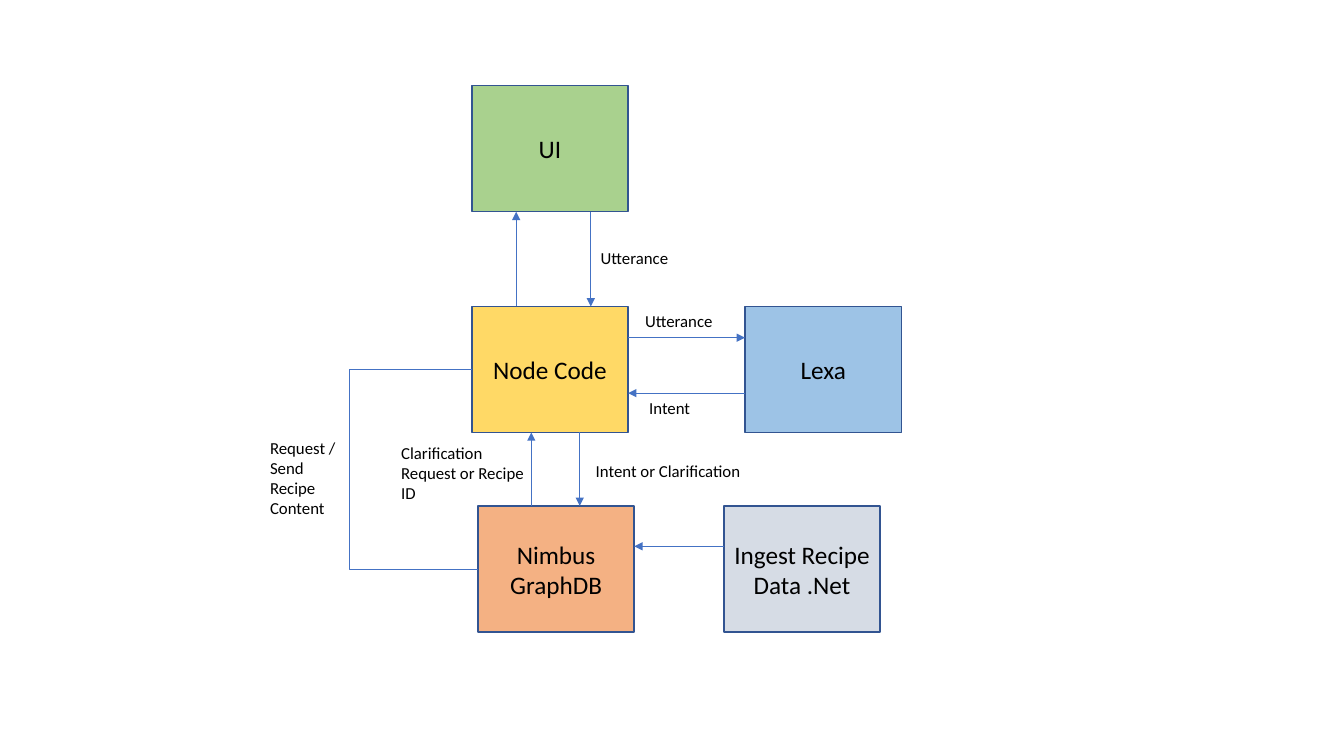
"""Build the recipe chatbot architecture slide."""
from dataclasses import dataclass

import lxml.etree
import pptx
import pptx.dml.color
import pptx.enum.shapes
import pptx.enum.text
import pptx.oxml
import pptx.oxml.ns
import pptx.util

Inches, Pt = pptx.util.Inches, pptx.util.Pt
RGBColor = pptx.dml.color.RGBColor
CONNECTOR = pptx.enum.shapes.MSO_CONNECTOR
qn = pptx.oxml.ns.qn

BLACK = RGBColor(0x00, 0x00, 0x00)
OUTLINE = RGBColor(0x32, 0x54, 0x91)
BLUE = RGBColor(0x44, 0x72, 0xC4)
GREEN = RGBColor(0xA9, 0xD1, 0x8E)
YELLOW = RGBColor(0xFF, 0xD9, 0x66)
SKY = RGBColor(0x9D, 0xC3, 0xE6)
ORANGE = RGBColor(0xF4, 0xB1, 0x83)
GREY = RGBColor(0xD6, 0xDC, 0xE5)

FONT = "Calibri"
BOX_W, BOX_H = 1.55, 1.25
UI_Y, NODE_Y, DATA_Y = 0.85, 3.04, 5.02
NODE_X, INTENT_X, GRAPH_X, INGEST_X = 4.68, 7.39, 4.74, 7.18
UI_BOTTOM, NODE_BOTTOM = UI_Y + BOX_H, NODE_Y + BOX_H
NODE_RIGHT, GRAPH_RIGHT = NODE_X + BOX_W, GRAPH_X + BOX_W
BEND_X = 3.46
LEFT_SITE = 1


@dataclass
class Box:
    """A filled component of the system."""
    text: str
    x: float
    y: float
    fill: RGBColor


@dataclass
class Arrow:
    """A straight arrow between two points."""
    x1: float
    y1: float
    x2: float
    y2: float


@dataclass
class Label:
    """A caption beside an arrow."""
    text: str
    x: float
    y: float
    w: float
    h: float = 0.3
    wrap: bool = False


NODE = Box("Node Code", NODE_X, NODE_Y, YELLOW)
GRAPH = Box("Nimbus GraphDB", GRAPH_X, DATA_Y, ORANGE)
BOXES = [
    Box("UI", NODE_X, UI_Y, GREEN),
    Box("Lexa", INTENT_X, NODE_Y, SKY),
    Box("Ingest Recipe Data .Net", INGEST_X, DATA_Y, GREY),
]
ARROWS = [
    Arrow(5.86, UI_BOTTOM, 5.86, NODE_Y),
    Arrow(5.12, NODE_Y, 5.12, UI_BOTTOM),
    Arrow(NODE_RIGHT, 3.35, INTENT_X, 3.35),
    Arrow(INTENT_X, 3.9, NODE_RIGHT, 3.9),
    Arrow(INGEST_X, 5.42, GRAPH_RIGHT, 5.42),
    Arrow(5.75, NODE_BOTTOM, 5.75, DATA_Y),
    Arrow(5.27, DATA_Y, 5.27, NODE_BOTTOM),
]
LABELS = [
    Label("Utterance", 5.86, 2.41, 0.88),
    Label("Utterance", 6.3, 3.03, 0.88),
    Label("Intent", 6.34, 3.9, 0.61),
    Label("Intent or Clarification", 5.81, 4.52, 1.65),
    Label("Clarification Request or Recipe ID", 3.88, 4.34, 1.49, 0.71, True),
    Label("Request / Send Recipe Content", 2.58, 4.29, 0.91, 0.91, True),
]


def write(tf: pptx.text.text.TextFrame, text: str, size: int) -> None:
    """Put one styled paragraph into a text frame."""
    p = tf.paragraphs[0]
    p.text = text
    p.font.name, p.font.size = FONT, Pt(size)
    p.font.color.rgb = BLACK


def draw_box(s: pptx.slide.Slide, box: Box) -> pptx.shapes.autoshape.Shape:
    """Draw a component with its name centred."""
    sp = s.shapes.add_shape(
        pptx.enum.shapes.MSO_SHAPE.RECTANGLE,
        Inches(box.x), Inches(box.y), Inches(BOX_W), Inches(BOX_H))
    sp.shadow.inherit = False
    sp.fill.solid()
    sp.fill.fore_color.rgb = box.fill
    sp.line.color.rgb, sp.line.width = OUTLINE, Pt(1)
    tf = sp.text_frame
    tf.word_wrap = True
    tf.vertical_anchor = pptx.enum.text.MSO_ANCHOR.MIDDLE
    write(tf, box.text, 18)
    tf.paragraphs[0].alignment = pptx.enum.text.PP_ALIGN.CENTER
    return sp


def draw_line(s: pptx.slide.Slide, kind: CONNECTOR,
              line: Arrow) -> pptx.shapes.connector.Connector:
    """Draw a thin blue connector without a shadow."""
    cxn = s.shapes.add_connector(
        kind, Inches(line.x1), Inches(line.y1),
        Inches(line.x2), Inches(line.y2))
    cxn.line.color.rgb, cxn.line.width = BLUE, Pt(0.5)
    lxml.etree.SubElement(cxn._element.spPr, qn("a:effectLst"))
    return cxn


def draw_arrow(s: pptx.slide.Slide, arrow: Arrow) -> None:
    """Draw a straight connector with a triangular head."""
    cxn = draw_line(s, CONNECTOR.STRAIGHT, arrow)
    ln = cxn.line._get_or_add_ln()
    lxml.etree.SubElement(ln, qn("a:tailEnd"), type="triangle")


def draw_bend(s: pptx.slide.Slide, start: pptx.shapes.autoshape.Shape,
              end: pptx.shapes.autoshape.Shape) -> None:
    """Join the left sides of two boxes around a bend."""
    cxn = draw_line(s, CONNECTOR.ELBOW, Arrow(0, 0, 1, 1))
    cxn.begin_connect(start, LEFT_SITE)
    cxn.end_connect(end, LEFT_SITE)
    ratio = (Inches(BEND_X) - cxn.begin_x) / (cxn.end_x - cxn.begin_x)
    guides = cxn._element.spPr.find(qn("a:prstGeom")).get_or_add_avLst()
    lxml.etree.SubElement(guides, qn("a:gd"), name="adj1",
                          fmla=f"val {round(ratio * 100000)}")


def draw_label(s: pptx.slide.Slide, label: Label) -> None:
    """Draw a caption as a text box."""
    sp = s.shapes.add_textbox(Inches(label.x), Inches(label.y),
                              Inches(label.w), Inches(label.h))
    tf = sp.text_frame
    tf.word_wrap = label.wrap
    tf.auto_size = pptx.enum.text.MSO_AUTO_SIZE.SHAPE_TO_FIT_TEXT
    write(tf, label.text, 12)


def main() -> None:
    """Assemble and save the slide."""
    prs = pptx.Presentation()
    prs.slide_width, prs.slide_height = Inches(13.33), Inches(7.5)
    s = prs.slides.add_slide(prs.slide_layouts[6])
    node, graph = draw_box(s, NODE), draw_box(s, GRAPH)
    for box in BOXES:
        draw_box(s, box)
    draw_bend(s, node, graph)
    for arrow in ARROWS:
        draw_arrow(s, arrow)
    for label in LABELS:
        draw_label(s, label)
    prs.save("out.pptx")


main()
